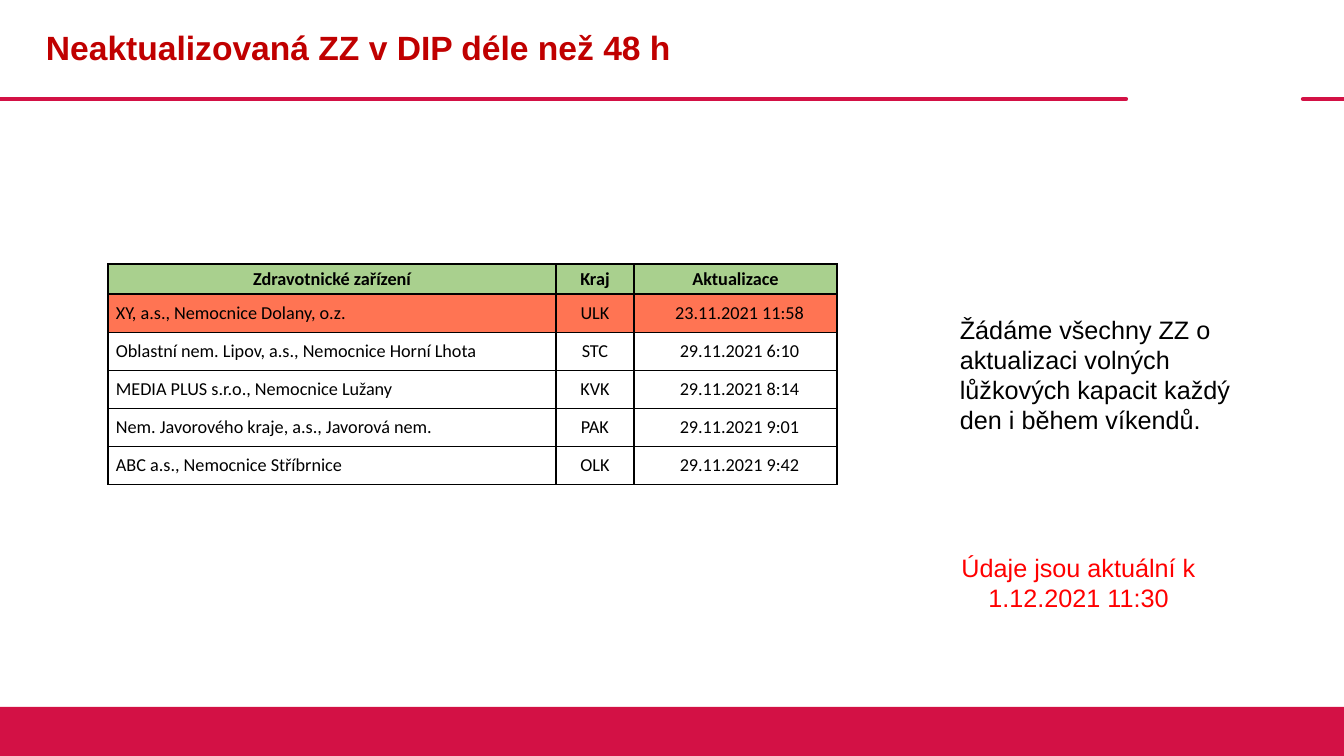
import pptx
import pptx.util
import pptx.dml.color
import pptx.enum.shapes
import pptx.enum.text
import pptx.oxml
import pptx.oxml.ns

SCALE = 914400 / 100.8
HUES = {"brand": "D31145", "title": "C00000", "alert": "FF0000", "ink": "000000",
        "head": "A9D08E", "late": "FF7453", "plain": "FFFFFF"}
ALIGN = pptx.enum.text.PP_ALIGN
MID = pptx.enum.text.MSO_ANCHOR.MIDDLE


def px(num):
    return pptx.util.Emu(round(num * SCALE))


def write(frame, text, size, face, hue, bold=False, align=ALIGN.LEFT):
    para = frame.paragraphs[0]
    para.alignment = align
    run = para.add_run()
    run.text = text
    run.font.size = pptx.util.Pt(size)
    run.font.name = face
    run.font.bold = bold
    run.font.color.rgb = pptx.dml.color.RGBColor.from_string(HUES[hue])
    return para


deck = pptx.Presentation()
deck.slide_width, deck.slide_height = px(1344), px(756)
slide = deck.slides.add_slide(deck.slide_layouts[6])
shapes = slide.shapes
brand = pptx.dml.color.RGBColor.from_string(HUES["brand"])

for left, right in [(0, 1126), (1303, 1344)]:
    rule = shapes.add_connector(pptx.enum.shapes.MSO_CONNECTOR.STRAIGHT,
                                px(left), px(99), px(right), px(99))
    rule.line.color.rgb = brand
    rule.line.width = pptx.util.Pt(3)
    rule.line._get_or_add_ln().set("cap", "rnd")
    rule._element.spPr.append(pptx.oxml.parse_xml(
        f"<a:effectLst {pptx.oxml.ns.nsdecls('a')}/>"))

band = shapes.add_shape(pptx.enum.shapes.MSO_SHAPE.RECTANGLE,
                        px(0), px(707), px(1344), px(49))
band.shadow.inherit = False
band.fill.solid()
band.fill.fore_color.rgb = brand
band.line.fill.background()

title = shapes.add_textbox(px(36), px(0), px(1090), px(99)).text_frame
title.word_wrap = True
title.vertical_anchor = MID
write(title, "Neaktualizovaná ZZ v DIP déle než 48 h", 24, "Arial", "title", True).line_spacing = 0.9

notes = [
    (547, 257, 72, "Údaje jsou aktuální k 1.12.2021 11:30", "alert", ALIGN.CENTER),
    (309, 301, 132, "Žádáme všechny ZZ o aktualizaci volných lůžkových kapacit každý den i během víkendů.",
     "ink", ALIGN.LEFT),
]
for top, width, height, text, hue, align in notes:
    note = shapes.add_textbox(px(950), px(top), px(width), px(height)).text_frame
    note.word_wrap = True
    write(note, text, 18, "Arial", hue, align=align)

rows = [
    ("Zdravotnické zařízení", "Kraj", "Aktualizace"),
    ("XY, a.s., Nemocnice Dolany, o.z.", "ULK", "23.11.2021 11:58"),
    ("Oblastní nem. Lipov, a.s., Nemocnice Horní Lhota", "STC", "29.11.2021 6:10"),
    ("MEDIA PLUS s.r.o., Nemocnice Lužany", "KVK", "29.11.2021 8:14"),
    ("Nem. Javorového kraje, a.s., Javorová nem.", "PAK", "29.11.2021 9:01"),
    ("ABC a.s., Nemocnice Stříbrnice", "OLK", "29.11.2021 9:42"),
]
widths = [448, 78, 203]
pads = [(8, 1, 1, 0), (1, 8, 1, 8), (9, 1, 1, 0)]
table = shapes.add_table(len(rows), len(widths), px(108), px(264),
                         px(sum(widths)), px(220)).table
for col, width in zip(table.columns, widths):
    col.width = px(width)
for r, row in enumerate(rows):
    head = r == 0
    table.rows[r].height = px(30 if head else 38)
    hue = ["head", "late"][r] if r < 2 else "plain"
    for c, text in enumerate(row):
        cell = table.cell(r, c)
        pad = (1, 1, 1, 0) if head else pads[c]
        cell.margin_left, cell.margin_top, cell.margin_right, cell.margin_bottom = map(px, pad)
        cell.vertical_anchor = MID
        align = ALIGN.LEFT if c == 0 and not head else ALIGN.CENTER
        write(cell.text_frame, text, 13, "Calibri", "ink", head, align)
        wide = {"L": 1, "R": 1, "T": 1 if r < 2 else 0.5, "B": 1 if head else 0.5}
        for side, thick in wide.items():
            cell._tc.get_or_add_tcPr().append(pptx.oxml.parse_xml(
                f'<a:ln{side} {pptx.oxml.ns.nsdecls("a")} w="{pptx.util.Pt(thick)}">'
                f'<a:solidFill><a:srgbClr val="{HUES["ink"]}"/></a:solidFill></a:ln{side}>'))
        cell.fill.solid()
        cell.fill.fore_color.rgb = pptx.dml.color.RGBColor.from_string(HUES[hue])

deck.save("out.pptx")
